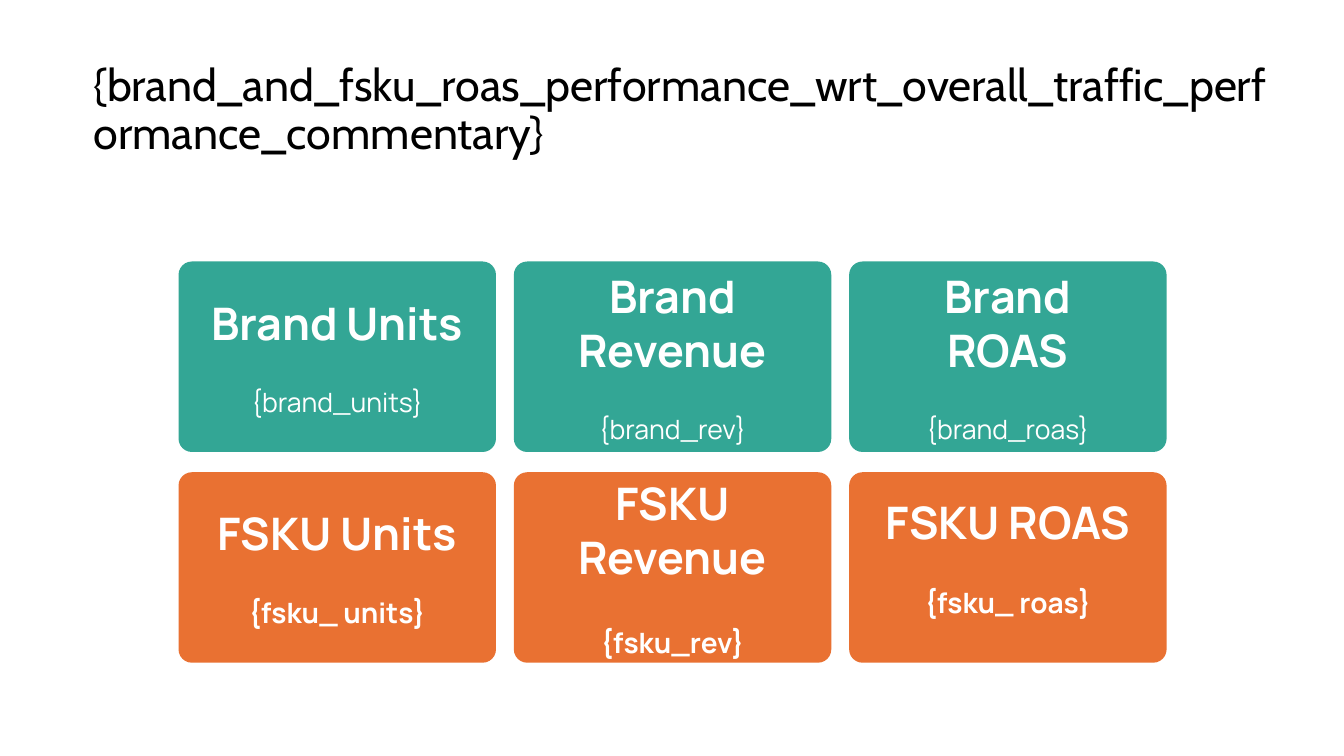
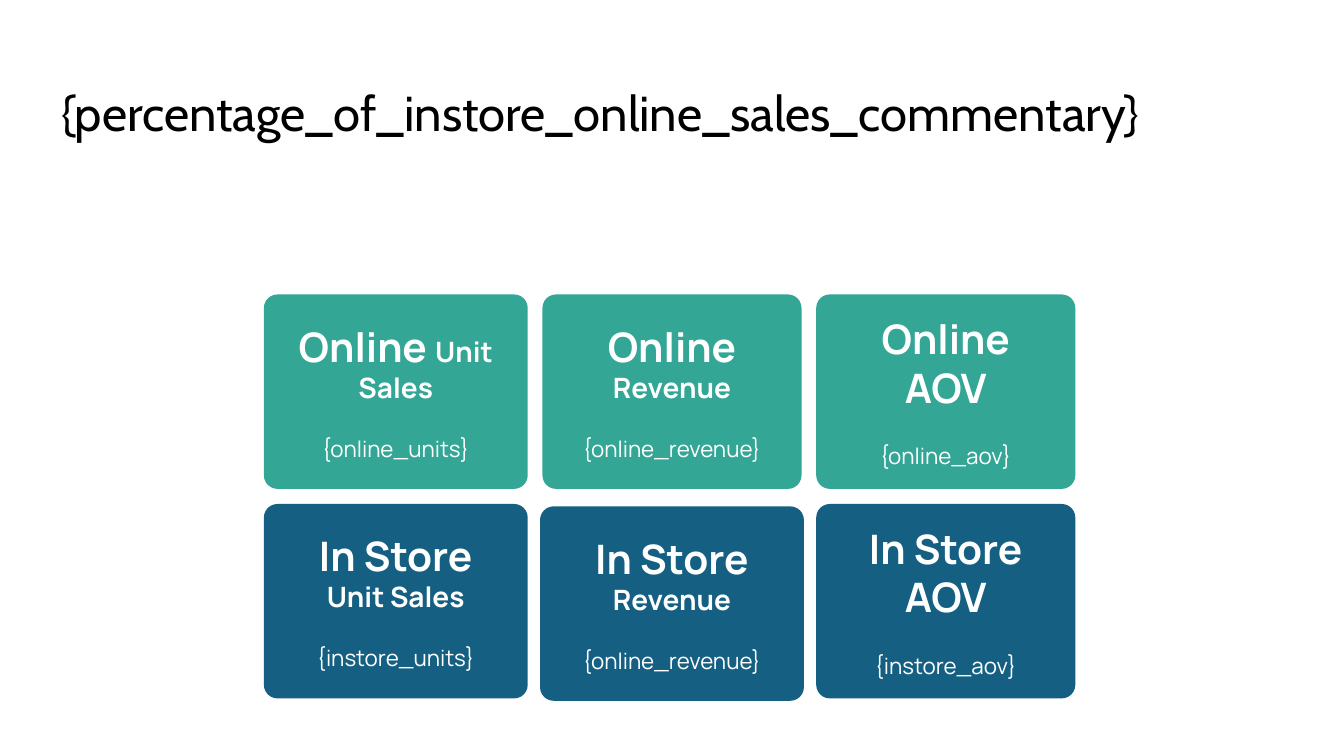
"""Build two slides of metric cards under a commentary title."""
from pptx import Presentation
from pptx.dml.color import RGBColor
from pptx.enum import shapes, text
from pptx.util import Cm, Pt

HUES = {"ink": "000000", "white": "FFFFFF", "teal": "33A695",
        "orange": "E97132", "blue": "156082"}


def tint(name):
    """Return the named colour."""
    return RGBColor.from_string(HUES[name])


def style(font, face, size, hue, bold=False):
    """Set face, size, colour and weight of a font."""
    font.name, font.size, font.bold = face, Pt(size), bold
    font.color.rgb = tint(hue)


def pad(frame, side, top, low):
    """Set the insets of a text frame."""
    frame.word_wrap = True
    frame.margin_left = frame.margin_right = Cm(side)
    frame.margin_top, frame.margin_bottom = Cm(top), Cm(low)


def start(deck, words, size, box):
    """Add a slide with its title and return it."""
    slide = deck.slides.add_slide(deck.slide_layouts[5])
    title = slide.shapes.title
    title.left, title.top, title.width, title.height = map(Cm, box)
    frame = title.text_frame
    pad(frame, 0, 0, 0)
    frame.auto_size = text.MSO_AUTO_SIZE.SHAPE_TO_FIT_TEXT
    frame.vertical_anchor = text.MSO_ANCHOR.TOP
    frame.text = words
    para = frame.paragraphs[0]
    para.alignment, para.line_spacing = text.PP_ALIGN.LEFT, 0.9
    style(para.font, "Cabin", size, "ink")
    return slide


def card(slide, box, hue, head, value, gap, sub="", low=0.33):
    """Add a rounded card; head and value are (words, size, bold)."""
    shape = slide.shapes.add_shape(
        shapes.MSO_SHAPE.ROUNDED_RECTANGLE, *map(Cm, box))
    shape.adjustments[0] = 0.07
    shape.shadow.inherit = False
    shape.fill.solid()
    shape.fill.fore_color.rgb = tint(hue)
    shape.line.fill.background()
    frame = shape.text_frame
    pad(frame, 0.69, 0.33, low)
    frame.vertical_anchor = text.MSO_ANCHOR.MIDDLE
    paras = frame.paragraphs[0], frame.add_paragraph()
    for para, (words, size, bold) in zip(paras, (head, value)):
        para.alignment = text.PP_ALIGN.CENTER
        para.add_run().text = words
        style(para.font, "Manrope", size, "white", bold)
    if sub:
        run = paras[0].add_run()
        run.text, run.font.size = sub, Pt(20)
    paras[1].space_before = Pt(gap)


def brand(deck):
    """Build the brand and FSKU slide."""
    slide = start(
        deck, "{brand_and_fsku_roas_performance_wrt_overall_traffic_"
        "performance_commentary}", 32, (2.36, 1.57, 30.12, 2.46))
    rows = [
        ("teal", "Brand", 19, False,
         ["{brand_units}", "{brand_rev}", "{brand_roas}"]),
        ("orange", "FSKU", 20, True,
         ["{fsku_ units}", "{fsku_rev}", "{fsku_ roas}"]),
    ]
    for row, (hue, group, size, bold, values) in enumerate(rows):
        for col, name in enumerate(("Units", "Revenue", "ROAS")):
            box = 4.5 + 8.45 * col, 6.59 + 5.31 * row, 8, 4.8
            gap = 30 if (row, col) == (1, 1) else 26
            low = 0.86 if (row, col) == (1, 2) else 0.33
            card(slide, box, hue, (f"{group} {name}", 32, True),
                 (values[col], size, bold), gap, low=low)


def sales(deck):
    """Build the online and in-store slide."""
    slide = start(deck, "{percentage_of_instore_online_sales_commentary}",
                  35, (1.55, 2.24, 29.54, 1.35))
    rows = [
        ("teal", "Online", 7.42,
         ["{online_units}", "{online_revenue}", "{online_aov}"],
         [(6.65, 6.65), (13.67, 6.53), (20.57, 6.53)]),
        ("blue", "In Store", 12.7,
         ["{instore_units}", "{online_revenue}", "{instore_aov}"],
         [(6.65, 6.65), (13.61, 6.65), (20.57, 6.53)]),
    ]
    for hue, group, top, values, spans in rows:
        for sub, value, (left, width) in zip(
                ("Unit Sales", "Revenue", ""), values, spans):
            drop = 0.06 if (hue, sub) == ("blue", "Revenue") else 0
            head = f"{group} " if sub else f"{group} AOV"
            card(slide, (left, top + drop, width, 4.9), hue,
                 (head, 29, True), (value, 16, False), 22, sub)


def main():
    """Build and save the deck."""
    deck = Presentation()
    deck.slide_width, deck.slide_height = Cm(33.87), Cm(19.05)
    brand(deck)
    sales(deck)
    deck.save("out.pptx")


if __name__ == "__main__":
    main()
